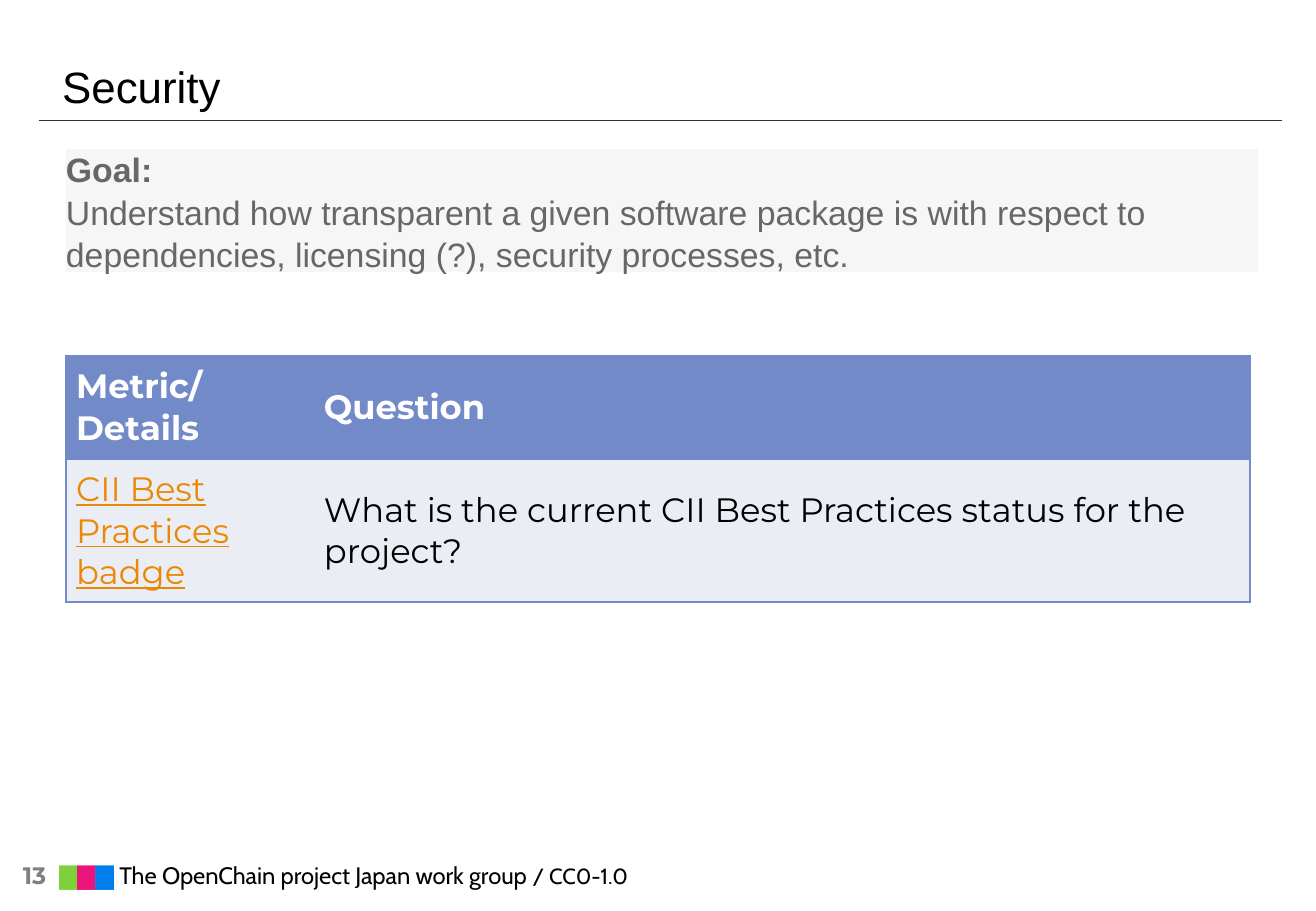
from lxml import etree
from pptx import Presentation
from pptx.dml.color import RGBColor
from pptx.enum.shapes import MSO_CONNECTOR, MSO_SHAPE
from pptx.enum.text import MSO_ANCHOR, PP_ALIGN
from pptx.oxml.ns import qn
from pptx.util import Cm, Pt

STRAIGHT = MSO_CONNECTOR.STRAIGHT
RECTANGLE = MSO_SHAPE.RECTANGLE
MIDDLE, BOTTOM = MSO_ANCHOR.MIDDLE, MSO_ANCHOR.BOTTOM
LEFT = PP_ALIGN.LEFT

COLORS = {
    "black": "000000", "white": "FFFFFF", "rule": "333333",
    "page": "808080", "green": "7FD13B", "pink": "EA157A", "blue": "007EEB",
    "header": "738AC8", "body": "EBEDF5", "link": "EB8803",
    "goal_fill": "F6F6F6", "goal_text": "676767",
}
TITLE_ONLY = 5


def color(name):
    return RGBColor.from_string(COLORS[name])


def set_font(font, name, size, color_name, bold=False):
    font.name, font.size, font.bold = name, Pt(size), bold
    font.color.rgb = color(color_name)


def set_frame(frame, anchor, margin=0):
    frame.word_wrap = True
    frame.vertical_anchor = anchor
    frame.margin_left = frame.margin_right = Cm(margin)
    frame.margin_top = frame.margin_bottom = Cm(margin)


def add_run(paragraph, text):
    run = paragraph.add_run()
    run.text = text
    return run


def add_title(slide, text):
    title = slide.shapes.title
    title.left, title.top, title.width, title.height = Cm(1.3), Cm(0.13), Cm(24.92), Cm(2.21)
    set_frame(title.text_frame, BOTTOM)
    title.text_frame.text = text
    paragraph = title.text_frame.paragraphs[0]
    paragraph.alignment = LEFT
    set_font(paragraph.font, "Arial", 26, "black")


def add_rule(slide):
    rule = slide.shapes.add_connector(STRAIGHT, Cm(0.81), Cm(2.51), Cm(26.8), Cm(2.51))
    rule.line.color.rgb = color("rule")
    rule.line.width = Pt(0.25)
    etree.SubElement(rule._element.spPr, qn("a:effectLst"))


def add_footer(slide, number, text, license_text):
    box = slide.shapes.add_textbox(Cm(0.48), Cm(17.81), Cm(14.6), Cm(0.99))
    set_frame(box.text_frame, MIDDLE)
    paragraph = box.text_frame.paragraphs[0]
    tabs = etree.SubElement(paragraph._p.get_or_add_pPr(), qn("a:tabLst"))
    etree.SubElement(tabs, qn("a:tab"), pos=str(Cm(0.76)), algn="l")
    set_font(add_run(paragraph, number + "\t").font, "Montserrat", 14.1, "page", True)
    parts = [("▇", 14.1, "green"), ("▇", 14.1, "pink"), ("▇ ", 14.1, "blue"),
             (text, 14.1, "black"), (license_text, 13, "black")]
    for part, size, color_name in parts:
        set_font(add_run(paragraph, part).font, "Cabin", size, color_name)


def set_borders(cell, sides):
    """Draw the named sides and clear the others."""
    properties = cell._tc.get_or_add_tcPr()
    for index, side in enumerate("LRTB"):
        line = etree.Element(qn("a:ln" + side), w=str(Pt(1)))
        if side in sides:
            fill = etree.SubElement(line, qn("a:solidFill"))
            etree.SubElement(fill, qn("a:srgbClr"), val=COLORS["header"])
        else:
            etree.SubElement(line, qn("a:noFill"))
        properties.insert(index, line)


def fill_cell(cell, text, fill_name, color_name, bold, sides):
    cell.fill.solid()
    cell.fill.fore_color.rgb = color(fill_name)
    set_borders(cell, sides)
    cell.margin_left = cell.margin_right = cell.margin_top = cell.margin_bottom = Cm(0.21)
    cell.vertical_anchor = MIDDLE
    cell.text = text
    paragraph = cell.text_frame.paragraphs[0]
    set_font(paragraph.font, "Montserrat", 20, color_name, bold)
    paragraph.font.underline = color_name == "link"


def add_metric_table(slide):
    table = slide.shapes.add_table(2, 2, Cm(1.38), Cm(7.44), Cm(24.75), Cm(5.15)).table
    table.columns[0].width, table.columns[1].width = Cm(5.18), Cm(19.57)
    table.rows[0].height, table.rows[1].height = Cm(2.16), Cm(2.99)
    rows = [
        ("header", True, [("Metric/Details", "white"), ("Question", "white")]),
        ("body", False, [
            ("CII Best Practices badge", "link"),
            ("What is the current CII Best Practices status for the project?", "black")]),
    ]
    for row, (fill_name, bold, cells) in enumerate(rows):
        for column, (text, color_name) in enumerate(cells):
            sides = ("LTB", "RTB")[column]
            fill_cell(table.cell(row, column), text, fill_name, color_name, bold, sides)


def add_goal(slide, heading, text):
    shape = slide.shapes.add_shape(RECTANGLE, Cm(1.38), Cm(3.12), Cm(24.92), Cm(2.57))
    shape.shadow.inherit = False
    shape.fill.solid()
    shape.fill.fore_color.rgb = color("goal_fill")
    shape.line.fill.background()
    set_frame(shape.text_frame, MIDDLE)
    paragraph = shape.text_frame.paragraphs[0]
    paragraph.alignment = LEFT
    paragraph.line_spacing = 1.05
    set_font(paragraph.font, "Arial", 20, "goal_text")
    add_run(paragraph, heading).font.bold = True
    paragraph.add_line_break()
    add_run(paragraph, text)


def main():
    presentation = Presentation()
    presentation.slide_width, presentation.slide_height = Cm(27.51), Cm(19.05)
    slide = presentation.slides.add_slide(presentation.slide_layouts[TITLE_ONLY])

    # Frame of the page
    add_rule(slide)
    add_footer(slide, "13", "The OpenChain project Japan work group ", "/ CC0-1.0")

    # Content
    add_title(slide, "Security")
    add_metric_table(slide)
    add_goal(slide, "Goal:", "Understand how transparent a given software package is with "
             "respect to dependencies, licensing (?), security processes, etc.")
    presentation.save("out.pptx")


if __name__ == "__main__":
    main()
